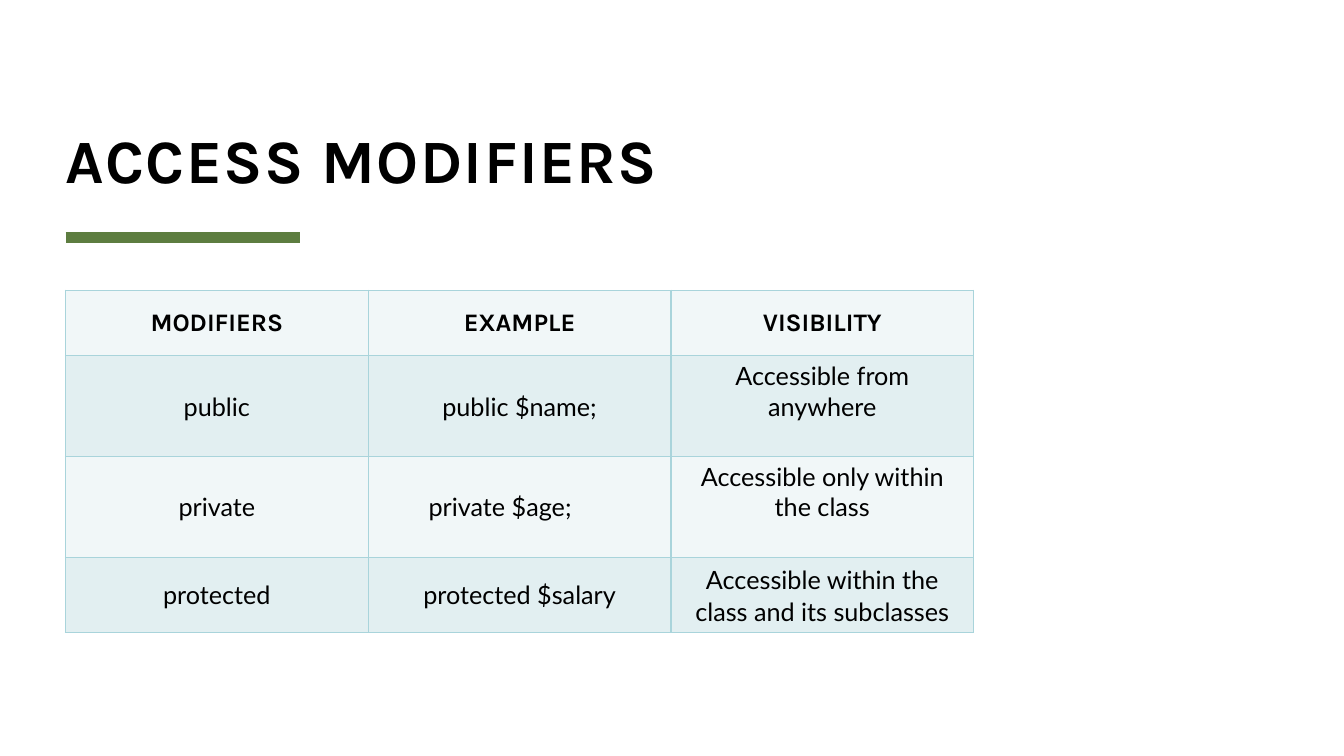
"""Build the slide that lists access modifiers with examples and visibility."""
from dataclasses import dataclass

from lxml.etree import SubElement
from pptx import Presentation
from pptx.dml.color import RGBColor
from pptx.enum.shapes import MSO_CONNECTOR
from pptx.enum.text import MSO_ANCHOR, MSO_AUTO_SIZE, PP_ALIGN
from pptx.oxml.ns import qn
from pptx.slide import Slide
from pptx.table import _Cell
from pptx.text.text import TextFrame
from pptx.util import Pt

BLACK = RGBColor(0x00, 0x00, 0x00)
GREEN = RGBColor(0x5D, 0x7D, 0x40)
BORDER = RGBColor(0xA9, 0xD4, 0xDB)
BANDS = (RGBColor(0xF1, 0xF7, 0xF8), RGBColor(0xE2, 0xEF, 0xF1))

HEADING_FONT = "Karla"
BODY_FONT = "Lato"
LEFT = 46.8
COLUMN_WIDTH = 216.25


@dataclass(frozen=True)
class TableCell:
    text: str
    anchor: MSO_ANCHOR = MSO_ANCHOR.MIDDLE
    line_spacing: float = 1.0
    space_after: float = 0
    right_margin: float = 7.2


@dataclass(frozen=True)
class TableRow:
    height: float
    cells: tuple[TableCell, ...]
    font: str = BODY_FONT
    bold: bool = False


ROWS = (
    TableRow(
        47,
        (TableCell("MODIFIERS"), TableCell("EXAMPLE"), TableCell("VISIBILITY")),
        font=HEADING_FONT,
        bold=True,
    ),
    TableRow(
        72,
        (
            TableCell("public"),
            TableCell("public $name;"),
            TableCell("Accessible from anywhere", anchor=MSO_ANCHOR.TOP),
        ),
    ),
    TableRow(
        72,
        (
            TableCell("private"),
            TableCell("private $age;", right_margin=35),
            TableCell("Accessible only within the class", anchor=MSO_ANCHOR.TOP),
        ),
    ),
    TableRow(
        53,
        (
            TableCell("protected"),
            TableCell("protected $salary"),
            TableCell(
                "Accessible within the class and its subclasses",
                line_spacing=1.07,
                space_after=8,
            ),
        ),
    ),
)


def write_text(
    frame: TextFrame,
    text: str,
    *,
    size: float,
    font: str,
    bold: bool = False,
    align: PP_ALIGN = PP_ALIGN.LEFT,
    line_spacing: float = 1.0,
    space_after: float = 0,
    letter_spacing: float = 0,
) -> None:
    paragraph = frame.paragraphs[0]
    paragraph.alignment = align
    paragraph.line_spacing = line_spacing
    paragraph.space_before = Pt(0)
    paragraph.space_after = Pt(space_after)
    run = paragraph.add_run()
    run.text = text
    run.font.size = Pt(size)
    run.font.name = font
    run.font.bold = bold
    run.font.color.rgb = BLACK
    if letter_spacing:
        run.font._element.set("spc", str(round(letter_spacing * 100)))


def add_title(slide: Slide) -> None:
    title = slide.shapes.title
    title.left, title.top = Pt(LEFT), Pt(46)
    title.width, title.height = Pt(864), Pt(93.6)
    frame = title.text_frame
    frame.margin_left = frame.margin_right = Pt(0)
    frame.margin_top = frame.margin_bottom = Pt(0)
    frame.vertical_anchor = MSO_ANCHOR.BOTTOM
    frame.auto_size = MSO_AUTO_SIZE.NONE
    frame.word_wrap = True
    write_text(
        frame,
        "ACCESS MODIFIERS",
        size=44,
        font=HEADING_FONT,
        bold=True,
        line_spacing=0.8,
        letter_spacing=1,
    )


def add_title_rule(slide: Slide) -> None:
    rule = slide.shapes.add_connector(
        MSO_CONNECTOR.STRAIGHT, Pt(LEFT), Pt(169.4), Pt(214.6), Pt(169.4)
    )
    rule.line.color.rgb = GREEN
    rule.line.width = Pt(8)
    SubElement(rule._element.spPr, qn("a:effectLst"))


def set_borders(cell: _Cell) -> None:
    properties = cell._tc.get_or_add_tcPr()
    for index, side in enumerate(("a:lnL", "a:lnR", "a:lnT", "a:lnB")):
        line = properties.makeelement(qn(side), {"w": str(Pt(1))})
        properties.insert(index, line)
        fill = SubElement(line, qn("a:solidFill"))
        SubElement(fill, qn("a:srgbClr"), val=str(BORDER))


def add_modifier_table(slide: Slide) -> None:
    column_count = len(ROWS[0].cells)
    table = slide.shapes.add_table(
        len(ROWS),
        column_count,
        Pt(LEFT),
        Pt(207.2),
        Pt(COLUMN_WIDTH * column_count),
        Pt(sum(row.height for row in ROWS)),
    ).table
    table.first_row = False
    table.horz_banding = False
    for column in table.columns:
        column.width = Pt(COLUMN_WIDTH)
    for row_index, row in enumerate(ROWS):
        table.rows[row_index].height = Pt(row.height)
        for column_index, content in enumerate(row.cells):
            cell = table.cell(row_index, column_index)
            cell.fill.solid()
            cell.fill.fore_color.rgb = BANDS[row_index % len(BANDS)]
            cell.vertical_anchor = content.anchor
            cell.margin_right = Pt(content.right_margin)
            set_borders(cell)
            write_text(
                cell.text_frame,
                content.text,
                size=18,
                font=row.font,
                bold=row.bold,
                align=PP_ALIGN.CENTER,
                line_spacing=content.line_spacing,
                space_after=content.space_after,
            )


def main() -> None:
    presentation = Presentation()
    presentation.slide_width, presentation.slide_height = Pt(960), Pt(540)
    slide = presentation.slides.add_slide(
        presentation.slide_layouts.get_by_name("Title Only")
    )
    add_title_rule(slide)
    add_title(slide)
    add_modifier_table(slide)
    presentation.save("out.pptx")


if __name__ == "__main__":
    main()
